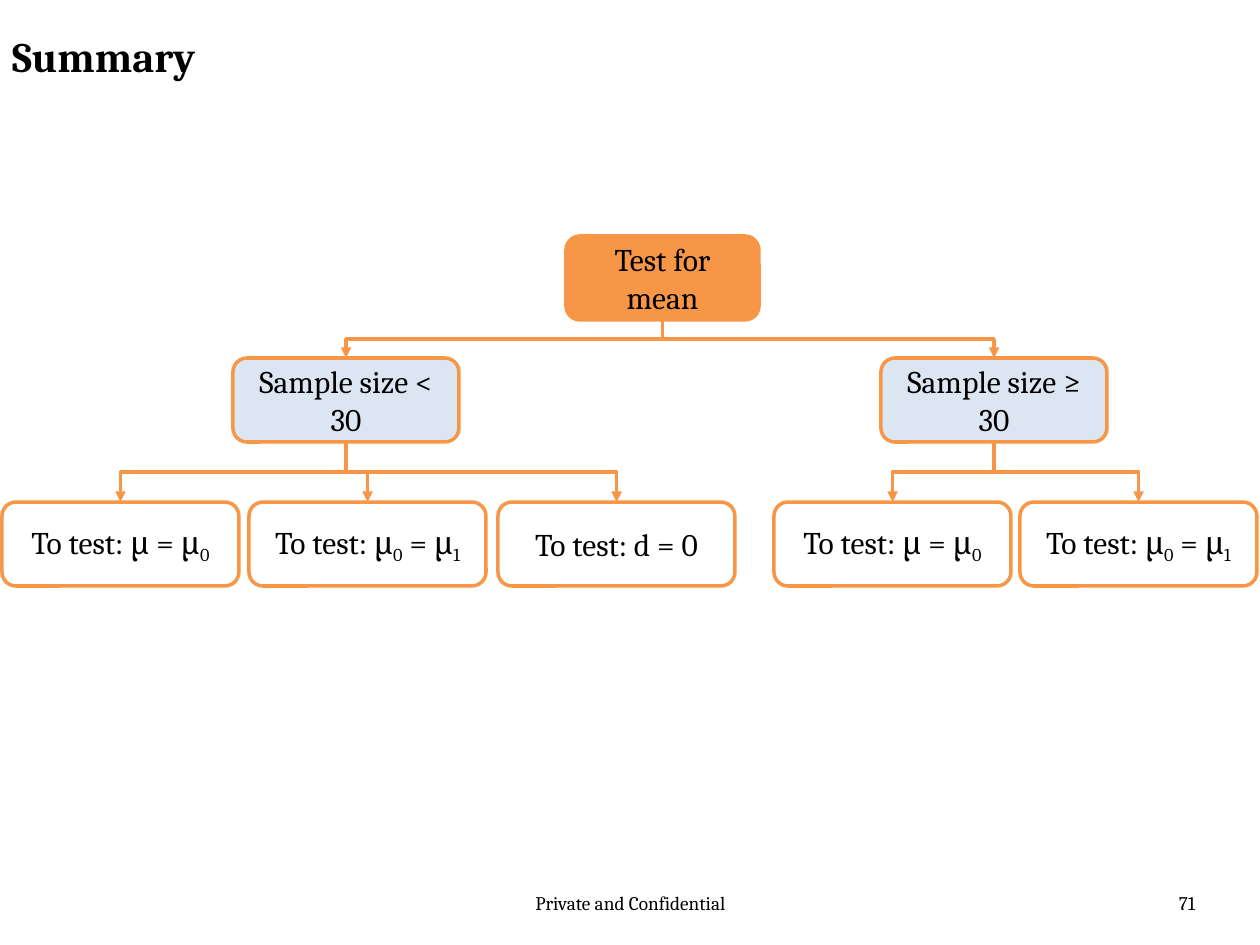
from lxml import etree
from pptx import Presentation
from pptx.dml.color import RGBColor
from pptx.enum.shapes import MSO_CONNECTOR, MSO_SHAPE
from pptx.enum.text import MSO_ANCHOR, PP_ALIGN
from pptx.oxml.ns import qn
from pptx.util import Emu, Pt

ROUNDED = MSO_SHAPE.ROUNDED_RECTANGLE
ELBOW = MSO_CONNECTOR.ELBOW
TOP, MIDDLE = MSO_ANCHOR.TOP, MSO_ANCHOR.MIDDLE
LEFT, CENTER, RIGHT = PP_ALIGN.LEFT, PP_ALIGN.CENTER, PP_ALIGN.RIGHT

PX_PER_INCH = 126
FONT = "Cambria"
BLACK, ORANGE, PALE_BLUE = "000000", "F79646", "DCE6F2"
BOX_H = 84
SIZE_W, SIZE_Y = 226, 358
TEST_W, TEST_Y = 237, 502
BRANCHES = [
    (233, "Sample size < 30", [
        (2, "To test: μ = μ|0"),
        (249, "To test: μ|0| = μ|1"),
        (498, "To test: d = 0"),
    ]),
    (881, "Sample size ≥ 30", [
        (774, "To test: μ = μ|0"),
        (1020, "To test: μ|0| = μ|1"),
    ]),
]


def px(n):
    return Emu(round(n * 914400 / PX_PER_INCH))


def rgb(color):
    return RGBColor.from_string(color)


def set_text(sp, text, size, align, anchor, inset_y, bold=False):
    tf = sp.text_frame
    tf.word_wrap = True
    tf.vertical_anchor = anchor
    tf.margin_left = tf.margin_right = px(12)
    tf.margin_top = tf.margin_bottom = px(inset_y)
    p = tf.paragraphs[0]
    p.alignment = align
    for i, part in enumerate(text.split("|")):
        r = p.add_run()
        r.text = part
        r.font.name = FONT
        r.font.size = Pt(size)
        r.font.bold = bold
        r.font.color.rgb = rgb(BLACK)
        if i % 2:
            r.font._element.set("baseline", "-25000")


def add_label(slide, x, y, w, h, text, size, align, anchor=TOP, bold=False):
    sp = slide.shapes.add_textbox(px(x), px(y), px(w), px(h))
    set_text(sp, text, size, align, anchor, 6, bold)


def add_box(slide, x, y, w, text, fill=None):
    sp = slide.shapes.add_shape(ROUNDED, px(x), px(y), px(w), px(BOX_H))
    sp.shadow.inherit = False
    if fill:
        sp.fill.solid()
        sp.fill.fore_color.rgb = rgb(fill)
    else:
        sp.fill.background()
    sp.line.color.rgb = rgb(ORANGE)
    sp.line.width = Pt(2)
    set_text(sp, text, 18, CENTER, MIDDLE, 12)
    return sp


def add_arrow(slide, parent, child):
    cxn = slide.shapes.add_connector(ELBOW, 0, 0, 0, 0)
    cxn.begin_connect(parent, 2)
    cxn.end_connect(child, 0)
    dx, dy = cxn.end_x - cxn.begin_x, cxn.end_y - cxn.begin_y
    mid_x = (cxn.begin_x + cxn.end_x) // 2
    mid_y = (cxn.begin_y + cxn.end_y) // 2
    cxn.width, cxn.height = dy, abs(dx)
    cxn.left, cxn.top = mid_x - dy // 2, mid_y - abs(dx) // 2
    xfrm = cxn._element.spPr.find(qn("a:xfrm"))
    xfrm.set("rot", "16200000" if dx > 0 else "5400000")
    xfrm.set("flipH", "1" if dx > 0 else "0")
    xfrm.set("flipV", "0")
    cxn.line.color.rgb = rgb(ORANGE)
    cxn.line.width = Pt(2)
    etree.SubElement(cxn.line._get_or_add_ln(), qn("a:tailEnd"), type="triangle")
    etree.SubElement(cxn._element.spPr, qn("a:effectLst"))


def main():
    prs = Presentation()
    prs.slide_width, prs.slide_height = px(1260), px(945)
    slide = prs.slides.add_slide(prs.slide_layouts[6])

    add_label(slide, 431, 885, 399, 50, "Private and Confidential", 11, CENTER)
    add_label(slide, 914, 885, 293, 50, "71", 11, RIGHT)
    add_label(slide, 0, 14, 852, 84, "Summary", 24, LEFT, MIDDLE, True)

    root = add_box(slide, 566, 236, 193, "Test for mean", ORANGE)
    for size_x, size_text, tests in BRANCHES:
        size_box = add_box(slide, size_x, SIZE_Y, SIZE_W, size_text, PALE_BLUE)
        add_arrow(slide, root, size_box)
        for test_x, test_text in tests:
            test_box = add_box(slide, test_x, TEST_Y, TEST_W, test_text)
            add_arrow(slide, size_box, test_box)

    prs.save("out.pptx")


if __name__ == "__main__":
    main()
